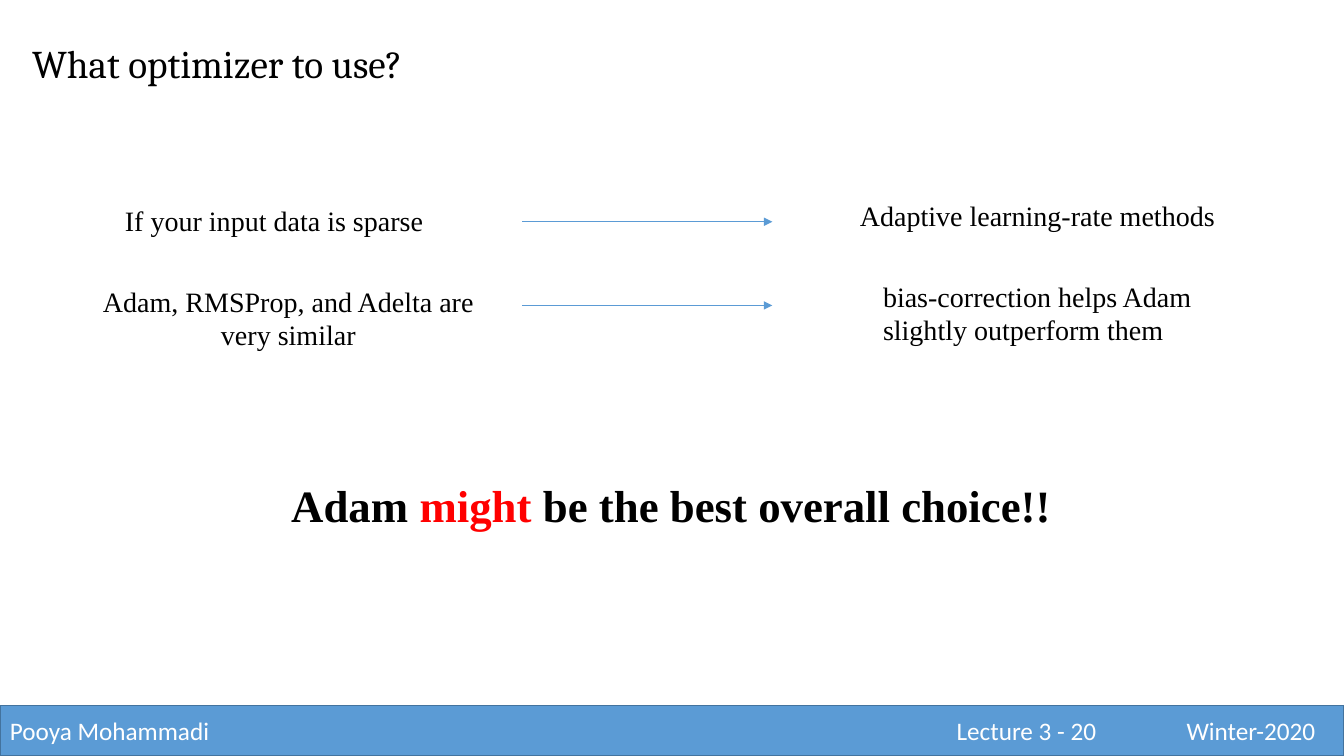
from lxml import etree
from pptx import Presentation
from pptx import util as u
from pptx.dml.color import RGBColor
from pptx.enum import shapes, text
from pptx.oxml.ns import qn

COLORS = {"black": "000000", "red": "FF0000", "white": "FFFFFF",
          "blue": "5B9BD5", "edge": "43739E"}
SERIF = "Times New Roman"
LEFT, CENTER = text.PP_ALIGN.LEFT, text.PP_ALIGN.CENTER

FOOTER = ["Pooya Mohammadi", "Lecture 3 - 20", "Winter-2020"]
FOOTER_STOPS = [9.39, 11.67]

# (left, top, width, height), font, size, bold, alignment, paragraphs of (words, color)
TEXTS = [
    ((0.22, 0.34, 12.65, 0.57), "Cambria", 28, False, LEFT,
     [[("What optimizer to use?", "black")]]),
    ((1.14, 1.97, 4.05, 0.44), SERIF, 20, False, LEFT,
     [[("If your input data is sparse", "black")]]),
    ((8.43, 1.92, 4.03, 0.44), SERIF, 20, False, LEFT,
     [[("Adaptive learning-rate methods", "black")]]),
    ((0.22, 2.77, 5.28, 0.77), SERIF, 20, False, CENTER,
     [[("Adam, RMSProp, and Adelta are", "black")], [("very similar", "black")]]),
    ((8.66, 2.72, 4.03, 0.77), SERIF, 20, False, LEFT,
     [[("bias-correction helps Adam slightly outperform them", "black")]]),
    ((2.79, 4.69, 7.8, 0.64), SERIF, 32, True, LEFT,
     [[("Adam ", "black"), ("might", "red"),
       (" be the best overall choice!!", "black")]]),
]
ARROW_START, ARROW_END = 5.18, 7.66
ARROW_ROWS = [2.2, 3.03]


def rgb(name):
    return RGBColor.from_string(COLORS[name])


def add_span(para, words, font, size, color, bold=False):
    span = para.add_run()
    span.text = words
    span.font.name = font
    span.font.size = u.Pt(size)
    span.font.bold = bold
    span.font.color.rgb = rgb(color)


def add_text(page, place, font, size, bold, align, paragraphs):
    box = page.shapes.add_textbox(*map(u.Inches, place))
    frame = box.text_frame
    frame.word_wrap = True
    for index, spans in enumerate(paragraphs):
        para = frame.add_paragraph() if index else frame.paragraphs[0]
        para.alignment = align
        for words, color in spans:
            add_span(para, words, font, size, color, bold)


def add_arrow(page, y):
    arrow = page.shapes.add_connector(
        shapes.MSO_CONNECTOR.STRAIGHT, u.Inches(ARROW_START), u.Inches(y),
        u.Inches(ARROW_END), u.Inches(y))
    arrow.line.color.rgb = rgb("blue")
    arrow.line.width = u.Pt(0.5)
    properties = arrow.element.spPr
    etree.SubElement(properties.find(qn("a:ln")), qn("a:tailEnd"), type="triangle")
    etree.SubElement(properties, qn("a:effectLst"))


def add_footer(page):
    bar = page.shapes.add_shape(shapes.MSO_SHAPE.RECTANGLE, 0, u.Inches(7),
                                u.Inches(13.33), u.Inches(0.5))
    bar.shadow.inherit = False
    bar.fill.solid()
    bar.fill.fore_color.rgb = rgb("blue")
    bar.line.color.rgb = rgb("edge")
    bar.line.width = u.Pt(1)
    bar.text_frame.word_wrap = True
    bar.text_frame.vertical_anchor = text.MSO_ANCHOR.MIDDLE
    para = bar.text_frame.paragraphs[0]
    para.alignment = LEFT
    add_span(para, "\t".join(FOOTER), "Calibri", 18, "white")
    stops = etree.SubElement(para._p.get_or_add_pPr(), qn("a:tabLst"))
    for stop in FOOTER_STOPS:
        etree.SubElement(stops, qn("a:tab"), pos=str(u.Inches(stop)), algn="l")


def main():
    deck = Presentation()
    deck.slide_width, deck.slide_height = u.Inches(13.33), u.Inches(7.5)
    page = deck.slides.add_slide(deck.slide_layouts[6])
    add_footer(page)
    for item in TEXTS:
        add_text(page, *item)
    for y in ARROW_ROWS:
        add_arrow(page, y)
    deck.save("out.pptx")


if __name__ == "__main__":
    main()
